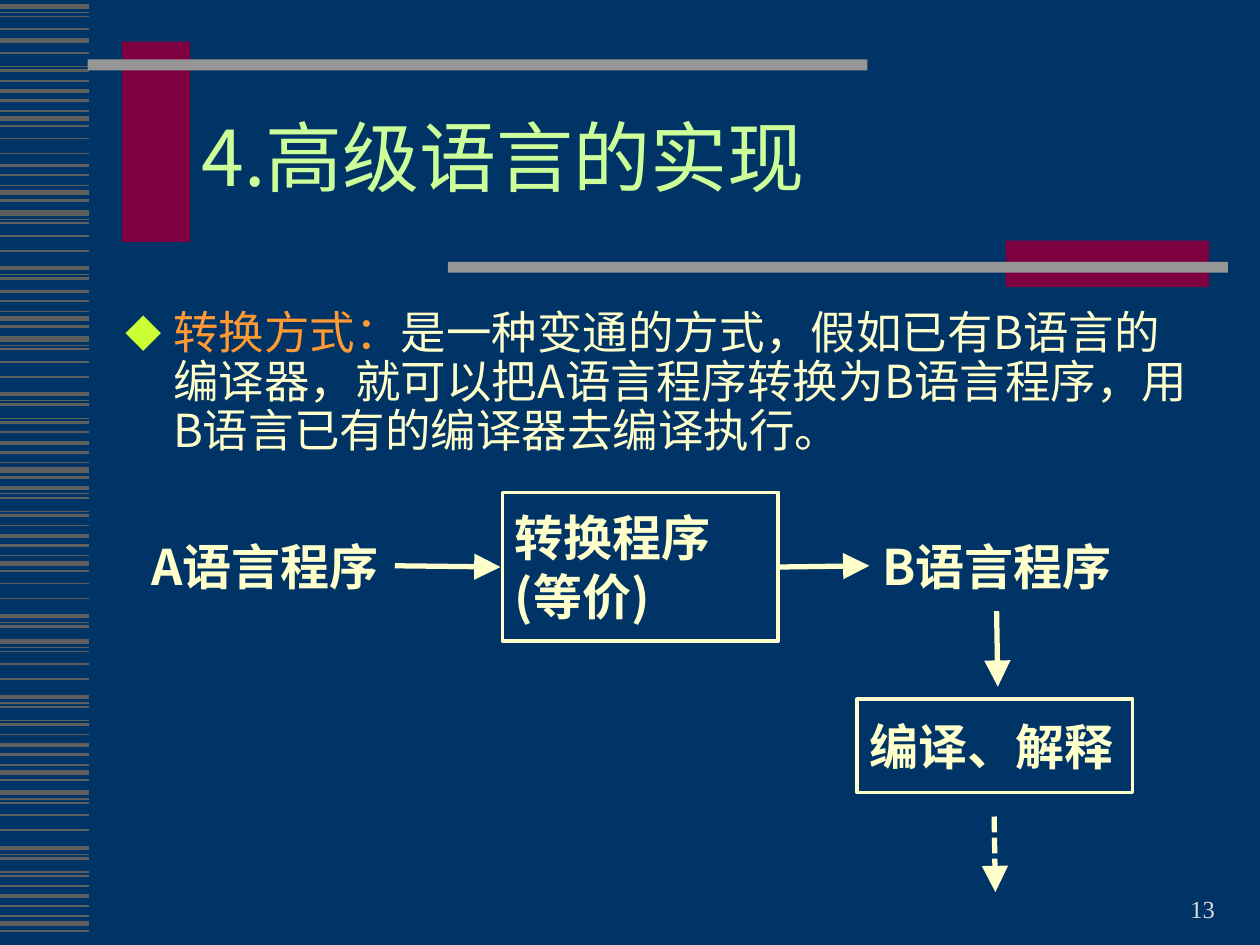
"""Slide on implementing high-level languages by converting to another language."""
from lxml import etree
from pptx import Presentation
from pptx.dml.color import RGBColor
from pptx.enum import dml, shapes, text
from pptx.oxml import ns
from pptx.util import Pt

NAVY = RGBColor(0x00, 0x33, 0x66)
GRAY = RGBColor(0x5F, 0x5F, 0x5F)
SILVER = RGBColor(0x96, 0x96, 0x96)
WINE = RGBColor(0x7E, 0x00, 0x3F)
CREAM = RGBColor(0xFF, 0xFF, 0xCC)
ORANGE = RGBColor(0xFF, 0x99, 0x33)
MINT = RGBColor(0xCC, 0xFF, 0x99)
LIME = RGBColor(0xCC, 0xFF, 0x33)
PALE = RGBColor(0xDD, 0xDD, 0xDD)
SANS, SERIF = "Noto Sans CJK SC", "Times New Roman"

TITLE = "4.高级语言的实现"
BODY = [
    ("转换方式：", ORANGE),
    ("是一种变通的方式，假如已有B语言的编译器，就可以把A语言程序转换为B语言程序，"
     "用B语言已有的编译器去编译执行。", CREAM),
]
PAGE = "13"

STRIPES = [
    (0, 3), (3.6, 0.75), (5.8, 1), (13, 1), (21.6, 1), (31.7, 2.25),
    (35.2, 0.75), (37.6, 1.5), (45.4, 0.75), (47.6, 1.5), (53.3, 1),
    (59.3, 2.25), (64.8, 1.5), (70.6, 0.75), (74.9, 3), (79.2, 1.5),
]
STRIPE_RUNS = [
    (3.6, 0, 4), (23, 0, 1), (-7.2, 7, 16), (66.2, 3, 5), (35.3, 11, 16),
    (121.7, 0, 8), (107.3, 11, 16), (193.7, 0, 16), (247, 5, 16),
    (320.4, 3, 8), (366.5, 0, 16), (452.9, 0, 16),
]
STRIPE_LENGTH = 51

BARS = [
    (69.8, 23.8, 38.9, 114.5, WINE),
    (50, 34, 445.7, 6.2, SILVER),
    (574.6, 137.5, 116.2, 26.6, WINE),
    (256, 149.6, 445.7, 6.2, SILVER),
]
BOXES = [
    (489.6, 399.6, 157.7, 53.3, ["编译、解释"]),
    (287, 281.3, 157.7, 85, ["转换程序", "(等价)"]),
]
LABELS = [
    (79.4, 303.1, 146.2, 74.9, "A语言程序"),
    (497.2, 303.1, 162, 41, "B语言程序"),
]
ARROWS = [
    (225.6, 323.3, 286, 324, False),
    (445.7, 324, 496.8, 323.3, False),
    (569.5, 349.2, 570.2, 392.4, False),
    (568.1, 466.6, 568.8, 509.8, True),
]


def add_run(p, words, size, color, font=SANS, bold=False):
    r = p.add_run()
    r.text = words
    r.font.size, r.font.bold, r.font.name = Pt(size), bold, font
    r.font.color.rgb = color
    etree.SubElement(r._r.get_or_add_rPr(), ns.qn("a:ea"), typeface=font)


def add_text(s, x, y, w, h, anchor=text.MSO_ANCHOR.TOP):
    tf = s.shapes.add_textbox(Pt(x), Pt(y), Pt(w), Pt(h)).text_frame
    tf.word_wrap, tf.vertical_anchor = True, anchor
    return tf.paragraphs[0]


def add_rect(s, x, y, w, h, fill):
    sp = s.shapes.add_shape(shapes.MSO_SHAPE.RECTANGLE, Pt(x), Pt(y), Pt(w), Pt(h))
    sp.shadow.inherit = False
    sp.fill.solid()
    sp.fill.fore_color.rgb = fill
    sp.line.fill.background()
    return sp


def add_line(s, x1, y1, x2, y2, color, weight):
    line = s.shapes.add_connector(
        shapes.MSO_CONNECTOR.STRAIGHT, Pt(x1), Pt(y1), Pt(x2), Pt(y2))
    line.line.color.rgb = color
    line.line.width = Pt(weight)
    etree.SubElement(line._element.spPr, ns.qn("a:effectLst"))
    return line


def add_box(s, x, y, w, h, lines):
    sp = add_rect(s, x, y, w, h, NAVY)
    sp.line.color.rgb = CREAM
    sp.line.width = Pt(2)
    tf = sp.text_frame
    tf.word_wrap, tf.vertical_anchor = True, text.MSO_ANCHOR.MIDDLE
    for i, words in enumerate(lines):
        p = tf.add_paragraph() if i else tf.paragraphs[0]
        p.alignment = text.PP_ALIGN.LEFT
        add_run(p, words, 28, CREAM, bold=True)


def add_arrow(s, x1, y1, x2, y2, dashed):
    line = add_line(s, x1, y1, x2, y2, CREAM, 3).line
    if dashed:
        line.dash_style = dml.MSO_LINE.SQUARE_DOT
    etree.SubElement(line._get_or_add_ln(), ns.qn("a:tailEnd"),
                     type="triangle", w="lg", len="lg")


def add_bullet(p, char, color, indent, percent):
    pPr = p._p.get_or_add_pPr()
    pPr.set("marL", str(Pt(indent)))
    pPr.set("indent", str(-Pt(indent)))
    clr = etree.SubElement(pPr, ns.qn("a:buClr"))
    etree.SubElement(clr, ns.qn("a:srgbClr"), val=str(color))
    etree.SubElement(pPr, ns.qn("a:buSzPct"), val=str(percent * 1000))
    etree.SubElement(pPr, ns.qn("a:buFont"), typeface=SANS)
    etree.SubElement(pPr, ns.qn("a:buChar"), char=char)


def main():
    prs = Presentation()
    prs.slide_width, prs.slide_height = Pt(720), Pt(540)
    s = prs.slides.add_slide(prs.slide_layouts[6])
    s.background.fill.solid()
    s.background.fill.fore_color.rgb = NAVY

    for start, first, end in STRIPE_RUNS:
        for offset, weight in STRIPES[first:end]:
            y = start + offset
            add_line(s, 0, y, STRIPE_LENGTH, y, GRAY, weight)
    for bar in BARS:
        add_rect(s, *bar)

    p = add_text(s, 528.5, 495.4, 172.8, 36, text.MSO_ANCHOR.BOTTOM)
    p.alignment = text.PP_ALIGN.RIGHT
    add_run(p, PAGE, 14, PALE, SERIF)

    p = add_text(s, 108, 48.2, 581, 90, text.MSO_ANCHOR.MIDDLE)
    p.line_spacing = 0.85
    add_run(p, TITLE, 44, MINT)

    p = add_text(s, 64.8, 173.5, 626.4, 305.3)
    p.line_spacing, p.space_before = 0.9, Pt(6.5)
    add_bullet(p, "◆", LIME, 27, 80)
    for words, color in BODY:
        add_run(p, words, 26, color)

    for box in BOXES:
        add_box(s, *box)
    for *place, words in LABELS:
        add_run(add_text(s, *place), words, 28, CREAM, bold=True)
    for arrow in ARROWS:
        add_arrow(s, *arrow)

    prs.save("out.pptx")


if __name__ == "__main__":
    main()
